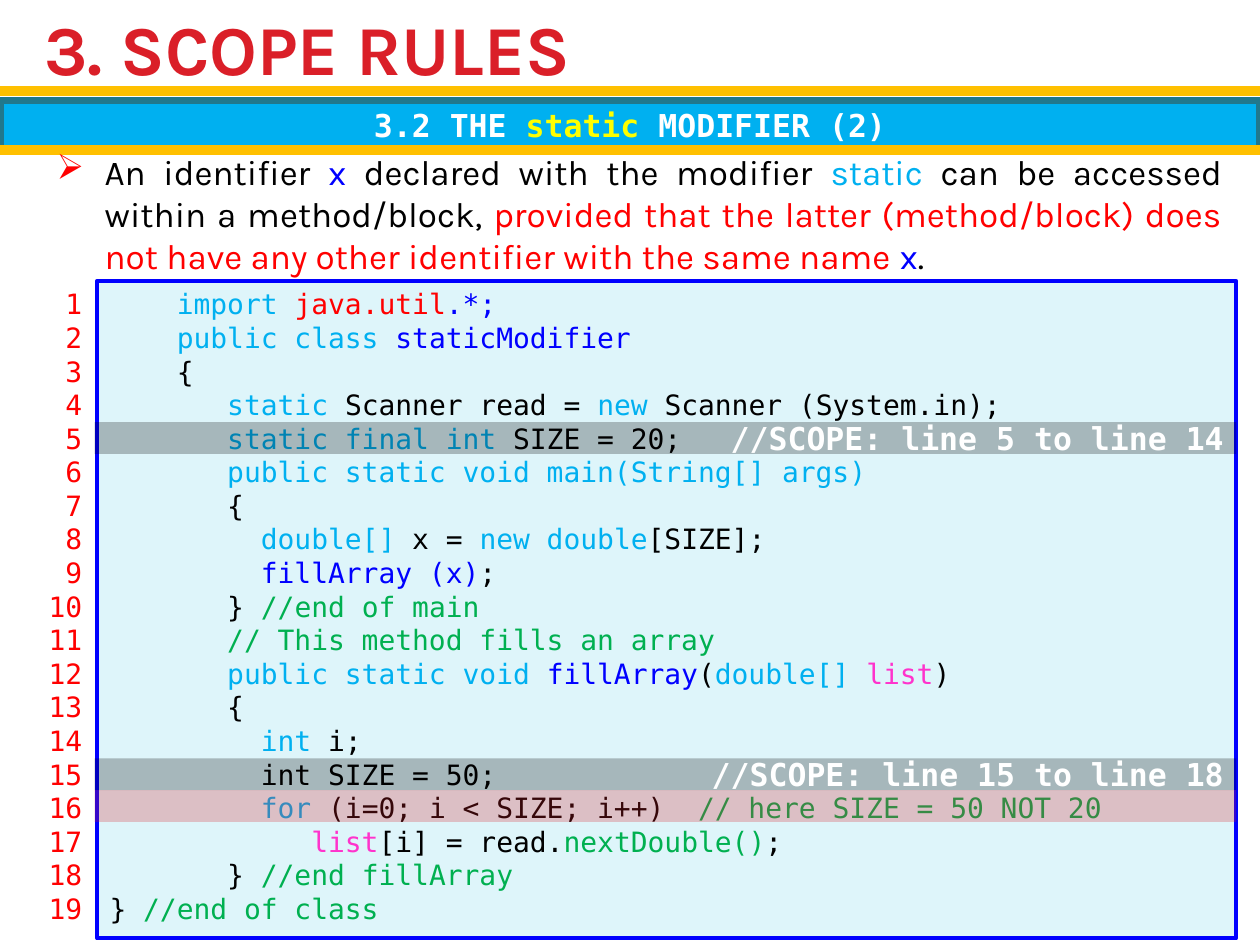
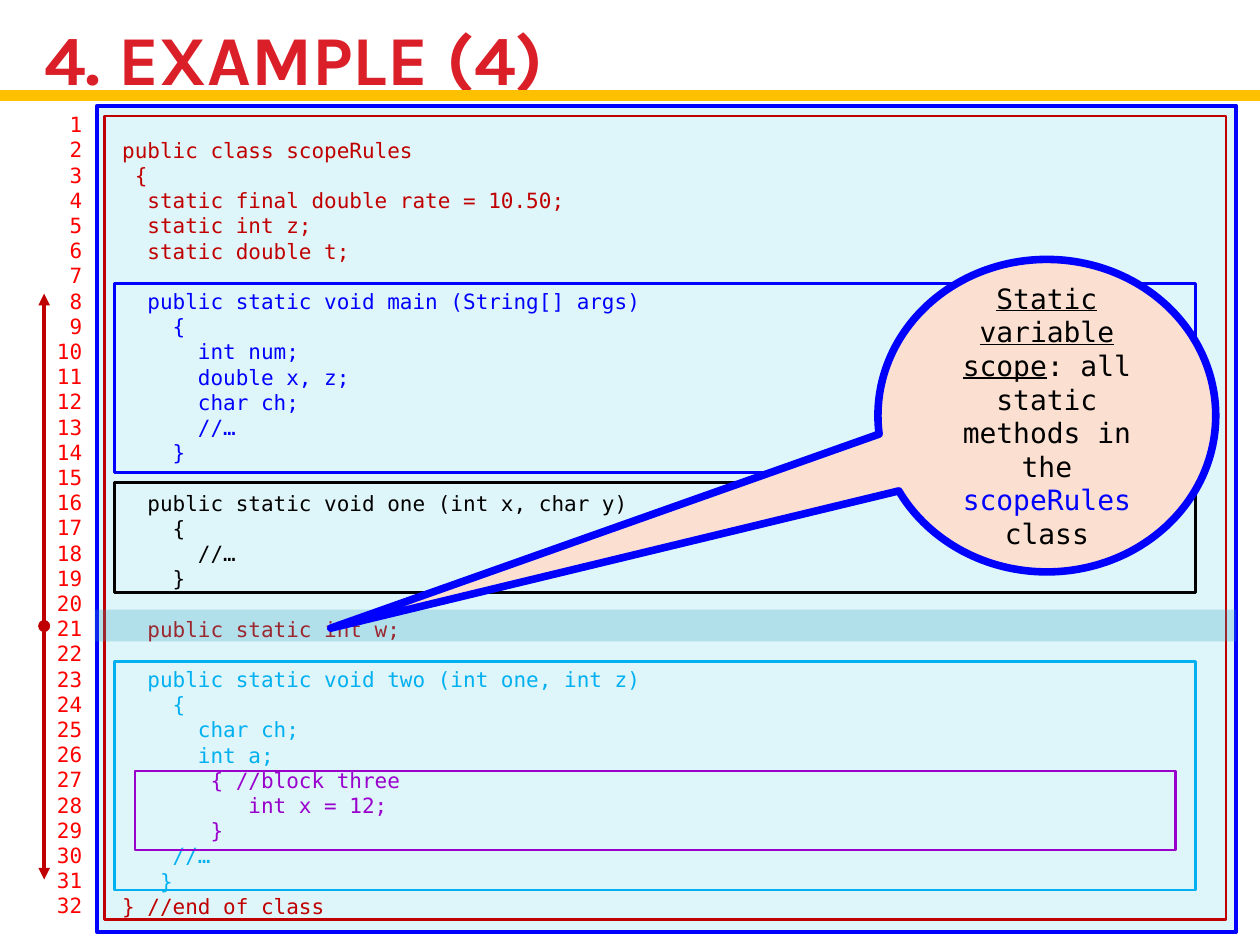
from pptx import Presentation
from pptx.dml.color import RGBColor
from pptx.enum.shapes import MSO_CONNECTOR, MSO_SHAPE
from pptx.enum.text import MSO_ANCHOR, MSO_AUTO_SIZE, PP_ALIGN
from pptx.oxml.ns import qn
from pptx.util import Cm, Pt
from lxml.etree import SubElement

MONO = "DejaVu Sans Mono"
SANS = "Karla"

TITLE_RED = RGBColor(0xDA, 0x1F, 0x28)
GOLD = RGBColor(0xFF, 0xC0, 0x00)
SKY = RGBColor(0x00, 0xB0, 0xF0)
TEAL = RGBColor(0x21, 0x78, 0x8D)
LAGOON = RGBColor(0x2D, 0xA2, 0xBF)
WHITE = RGBColor(0xFF, 0xFF, 0xFF)
YELLOW = RGBColor(0xFF, 0xFF, 0x00)
BLACK = RGBColor(0x00, 0x00, 0x00)
BLUE = RGBColor(0x00, 0x00, 0xFF)
RED = RGBColor(0xFF, 0x00, 0x00)
MAROON = RGBColor(0xC0, 0x00, 0x00)
GREEN = RGBColor(0x00, 0xB0, 0x50)
PINK = RGBColor(0xFF, 0x33, 0xCC)
PURPLE = RGBColor(0x99, 0x00, 0xCC)
ICE = RGBColor(0xDE, 0xF5, 0xFA)
PEACH = RGBColor(0xFB, 0xE0, 0xD1)

PAGE_WIDTH, PAGE_HEIGHT = 25.4, 19.05
LINE_PITCH = 1.2
INSET = 0.13

SUBTITLE = [("3.2 THE ", WHITE), ("static", YELLOW), (" MODIFIER (2)", WHITE)]

STATEMENT = [
    ("An identifier ", BLACK), ("x ", BLUE), ("declared with the modifier ", BLACK),
    ("static", SKY), (" can be accessed within a method/block, ", BLACK),
    ("provided that the latter (method/block) does not have any other "
     "identifier with the same name ", RED),
    ("x", BLUE), (".", BLACK),
]

MODIFIER_CODE = [
    [("    import ", SKY), ("java.util", RED), (".*;", BLUE)],
    [("    public class ", SKY), ("staticModifier", BLUE)],
    [("    {", BLACK)],
    [("       static ", SKY), ("Scanner read = ", BLACK), ("new ", SKY),
     ("Scanner (System.in);", BLACK)],
    [("       static final int ", SKY), ("SIZE = 20;", BLACK)],
    [("       public static void main(String[] args)", SKY)],
    [("       {", BLACK)],
    [("         double[]", SKY), (" x = ", BLACK), ("new double", SKY), ("[SIZE];", BLACK)],
    [("         fillArray (x)", BLUE), (";", BLACK)],
    [("       } ", BLACK), ("//end of main", GREEN)],
    [("       // This method fills an array", GREEN)],
    [("       public static void ", SKY), ("fillArray", BLUE), ("(", BLACK),
     ("double[] ", SKY), ("list", PINK), (")", BLACK)],
    [("       {", BLACK)],
    [("         int ", SKY), ("i;", BLACK)],
    [("         int SIZE = 50;", BLACK)],
    [("         for ", SKY), ("(i=0; i < SIZE; i++)  ", BLACK),
     ("// here SIZE = 50 NOT 20", GREEN)],
    [("            list", PINK), ("[i] = read.", BLACK), ("nextDouble()", GREEN), (";", BLACK)],
    [("       }", BLACK), (" //end fillArray", GREEN)],
    [("} ", BLACK), ("//end of class", GREEN)],
]

SCOPE_BLOCKS = [
    (MAROON, ["", " public class scopeRules", "  {",
              "   static final double rate = 10.50;",
              "   static int z;", "   static double t;", ""]),
    (BLUE, ["   public static void main (String[] args)", "     {",
            "       int num;", "       double x, z;", "       char ch;",
            "       //…", "     }", ""]),
    (BLACK, ["   public static void one (int x, char y)", "     {",
             "       //…", "     }", ""]),
    (MAROON, ["   public static int w;", ""]),
    (SKY, ["   public static void two (int one, int z)", "     {",
           "       char ch;", "       int a;"]),
    (PURPLE, ["        { //block three", "           int x = 12;", "        }"]),
    (SKY, ["     //…", "    }"]),
    (MAROON, [" } //end of class"]),
]
SCOPE_CODE = [[(line, colour)] if line else []
              for colour, lines in SCOPE_BLOCKS for line in lines]

MODIFIER_STRIPS = [
    (15.29, BLACK, "//SCOPE: line 15 to line 18"),
    (8.51, BLACK, "//SCOPE: line 5 to line 14"),
    (15.93, TITLE_RED, ""),
]

SCOPE_FRAMES = [
    (2.11, 2.34, 22.61, 16.2, MAROON),
    (2.31, 5.72, 21.79, 3.81, BLUE),
    (2.31, 9.73, 21.79, 2.21, BLACK),
    (2.31, 13.34, 21.79, 4.6, SKY),
    (2.72, 15.54, 20.98, 1.6, PURPLE),
]

CALLOUT = [("Static variable scope", BLACK), (": all static methods in the ", BLACK),
           ("scopeRules ", BLUE), ("class", BLACK)]


def write(shape, lines, size, name=MONO, bold=False, align=PP_ALIGN.LEFT,
          anchor=MSO_ANCHOR.TOP, bullet=None):
    frame = shape.text_frame
    frame.word_wrap = True
    frame.auto_size = MSO_AUTO_SIZE.NONE
    frame.vertical_anchor = anchor
    pitch = size * LINE_PITCH
    blanks = 0
    para = None
    for line in lines:
        if not line:
            blanks += 1
            continue
        if para is None:
            para = frame.paragraphs[0]
            if blanks:
                frame.margin_top = Cm(INSET) + Pt(pitch * blanks)
        else:
            para = frame.add_paragraph()
            para.space_before = Pt(pitch * blanks)
        blanks = 0
        para.alignment = align
        para.line_spacing = Pt(pitch)
        if bullet:
            add_bullet(para, *bullet)
        para.font.name = name
        para.font.size = Pt(size)
        para.font.bold = bold
        for text, colour in line:
            span = para.add_run()
            span.text = text
            span.font.color.rgb = colour


def add_bullet(para, mark, colour, indent):
    properties = para._p.get_or_add_pPr()
    properties.set("marL", str(Cm(indent)))
    properties.set("indent", str(-Cm(indent)))
    tint = SubElement(properties, qn("a:buClr"))
    SubElement(tint, qn("a:srgbClr"), val=str(colour))
    SubElement(properties, qn("a:buChar"), char=mark)


def add_box(page, left, top, width, height, fill=None, line=None, weight=1.5,
            opacity=None, kind=MSO_SHAPE.RECTANGLE):
    box = page.shapes.add_shape(kind, Cm(left), Cm(top), Cm(width), Cm(height))
    box.shadow.inherit = False
    if fill is None:
        box.fill.background()
    else:
        box.fill.solid()
        box.fill.fore_color.rgb = fill
    if opacity is not None:
        tint = box.element.spPr.find(qn("a:solidFill"))[0]
        SubElement(tint, qn("a:alpha"), val=str(opacity * 1000))
    if line is None:
        box.line.fill.background()
    else:
        box.line.color.rgb = line
        box.line.width = Pt(weight)
    return box


def add_line(page, start, end, colour, weight, head=None, tail=None):
    line = page.shapes.add_connector(
        MSO_CONNECTOR.STRAIGHT, *(Cm(value) for value in (*start, *end)))
    line.line.color.rgb = colour
    line.line.width = Pt(weight)
    outline = line.line._get_or_add_ln()
    for tag, kind in (("a:headEnd", head), ("a:tailEnd", tail)):
        if kind:
            SubElement(outline, qn(tag), type=kind)
    SubElement(line._element.spPr, qn("a:effectLst"))


def add_rule(page, top):
    add_line(page, (0, top), (PAGE_WIDTH, top), GOLD, 6)


def add_page(deck, title, title_top, rule_top):
    page = deck.slides.add_slide(deck.slide_layouts[5])
    holder = page.shapes.title
    holder.left, holder.top = Cm(0.64), Cm(title_top)
    holder.width, holder.height = Cm(24.05), Cm(1.65)
    write(holder, [[(title, TITLE_RED)]], 40, SANS, bold=True, anchor=MSO_ANCHOR.MIDDLE)
    add_rule(page, rule_top)
    return page


def add_listing(page, code, top, height, size):
    box = add_box(page, 1.96, top, 22.96, height, ICE, BLUE, 2.25)
    write(box, code, size)
    numbers = page.shapes.add_textbox(Cm(0.51), Cm(top), Cm(1.4), Cm(height))
    write(numbers, [[(str(number), RED)] for number in range(1, len(code) + 1)],
          size, align=PP_ALIGN.RIGHT)


def add_strip(page, top, colour, note=""):
    strip = add_box(page, 1.91, top, 23.01, 0.64, colour, opacity=25)
    if note:
        write(strip, [[(note, WHITE)]], 18, bold=True, align=PP_ALIGN.RIGHT,
              anchor=MSO_ANCHOR.MIDDLE)


def build_modifier_page(deck):
    page = add_page(deck, "3. SCOPE RULES", 0.13, 1.83)
    band = add_box(page, 0, 2.03, PAGE_WIDTH, 0.99, SKY, TEAL, 4.33)
    write(band, [SUBTITLE], 18, bold=True, align=PP_ALIGN.CENTER, anchor=MSO_ANCHOR.MIDDLE)
    add_rule(page, 3.02)
    add_listing(page, MODIFIER_CODE, 5.66, 13.26, 16)
    for strip in MODIFIER_STRIPS:
        add_strip(page, *strip)
    statement = page.shapes.add_textbox(Cm(0.89), Cm(2.9), Cm(24), Cm(2.82))
    write(statement, [STATEMENT], 20, SANS, align=PP_ALIGN.JUSTIFY, bullet=("➢", RED, 0.97))


def build_example_page(deck):
    page = add_page(deck, "4. EXAMPLE (4)", 0.33, 1.93)
    add_listing(page, SCOPE_CODE, 2.13, 16.66, 12)
    for *place, colour in SCOPE_FRAMES:
        add_box(page, *place, line=colour)
    add_strip(page, 12.29, LAGOON)
    for end in (17.73, 5.92):
        add_line(page, (0.89, 12.62), (0.89, end), MAROON, 2.25, "oval", "triangle")
    callout = add_box(page, 17.7, 5.23, 6.81, 6.3, PEACH, BLUE, 4.33,
                      kind=MSO_SHAPE.OVAL_CALLOUT)
    callout.adjustments[0] = -2.12
    callout.adjustments[1] = 0.68
    write(callout, [CALLOUT], 16, align=PP_ALIGN.CENTER, anchor=MSO_ANCHOR.MIDDLE)
    callout.text_frame.paragraphs[0].runs[0].font.underline = True


def main():
    deck = Presentation()
    deck.slide_width, deck.slide_height = Cm(PAGE_WIDTH), Cm(PAGE_HEIGHT)
    build_modifier_page(deck)
    build_example_page(deck)
    deck.save("out.pptx")


if __name__ == "__main__":
    main()
